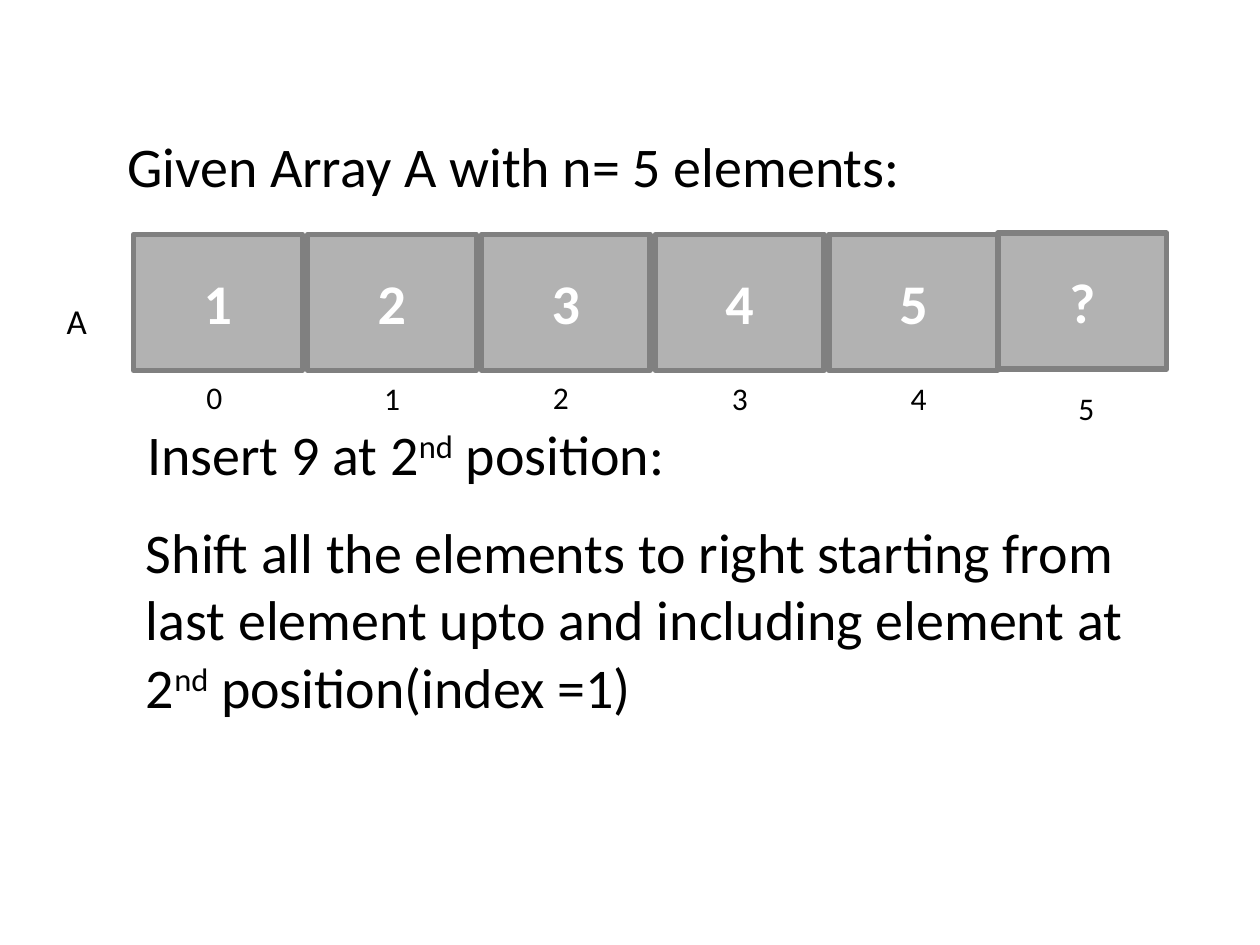
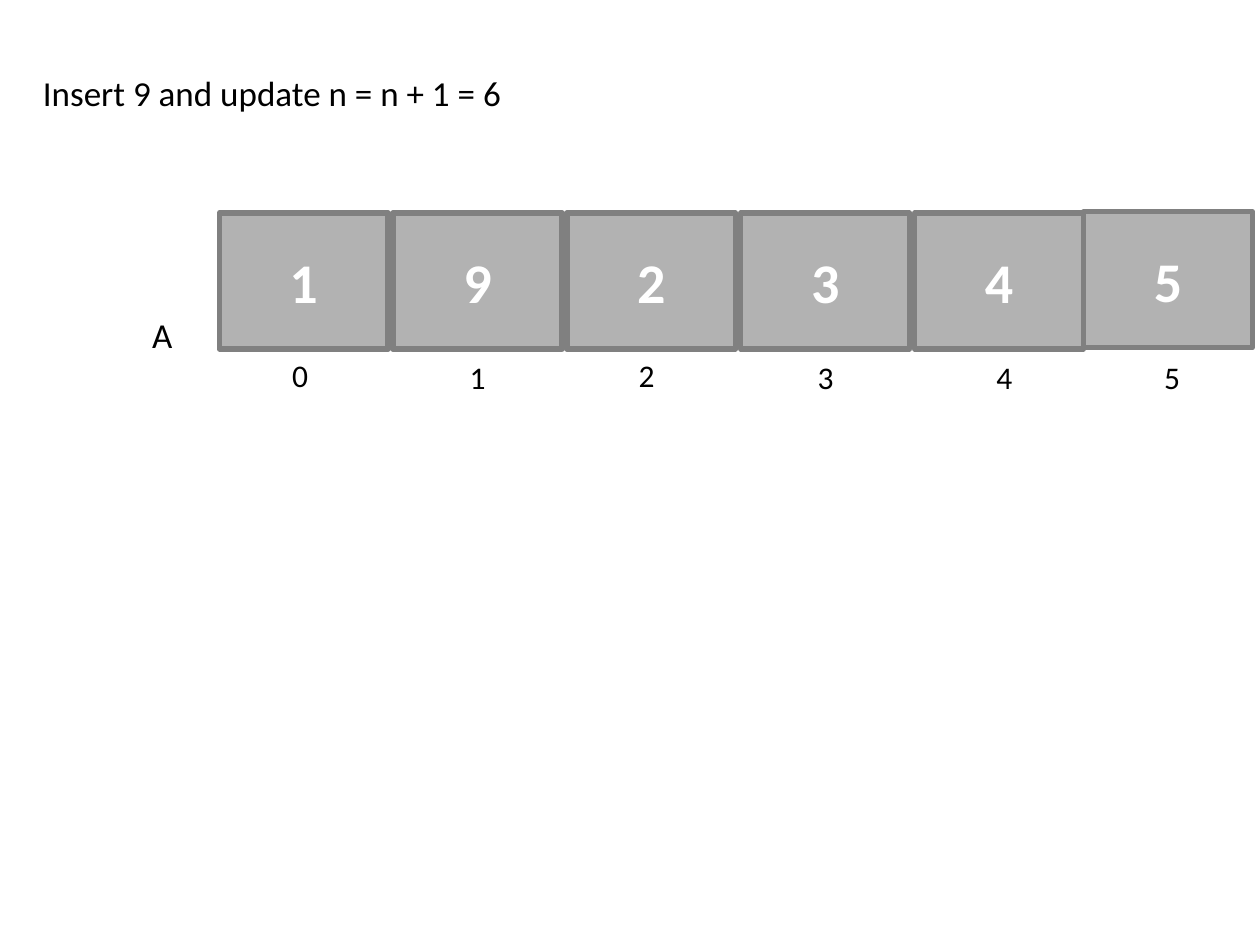
from dataclasses import dataclass

from pptx import Presentation
from pptx import util as u
from pptx.dml.color import RGBColor
from pptx.enum import shapes, text

PX = u.Inches(1) // 100  # one px is a hundredth of an inch


@dataclass(frozen=True)
class Theme:
    font: str = "Calibri"
    ink: str = "000000"
    light: str = "FFFFFF"
    cell: str = "B2B2B2"
    edge: str = "808080"
    line: int = 3
    big: int = 32
    mid: int = 20
    small: int = 18


T = Theme()

# Text between carets is raised. Boxes are left, top, width, height.
SLIDES = [
    {
        "title": ("Given Array A with n= 5 elements:", (91, 99, 717, 64), T.big),
        "array": (106, 186),
        "cells": "12345?",
        "name": (43, 233),
        "drop": 118,
        "notes": [
            ("Insert 9 at 2^nd^ position:", (107, 328, 449, 64)),
            ("Shift all the elements to right starting from last element upto "
             "and including element at 2^nd^ position(index =1)",
             (106, 406, 819, 172)),
        ],
    },
    {
        "title": ("Insert 9 and update n = n + 1 = 6", (24, 52, 520, 44), T.mid),
        "array": (174, 169),
        "cells": "192345",
        "name": (111, 244),
        "drop": 110,
        "notes": [],
    },
]

CELL_W, CELL_H, STEP = 134, 108, 138
INDEX_X = (48, 189, 323, 465, 607, 740)  # index labels, from the array's left
INDEX_Y = (109, 110, 109, 110, 110)  # the last label takes the slide's drop
LABEL_W = 47


def emu(box):
    return [n * PX for n in box]


def style(run, size, color=T.ink, bold=False):
    font = run.font
    font.name, font.size, font.bold = T.font, u.Pt(size), bold
    font.color.rgb = RGBColor.from_string(color)


def write(frame, words, size):
    """Fill a left-aligned frame, raising the parts between carets."""
    frame.word_wrap = True
    frame.vertical_anchor = text.MSO_ANCHOR.TOP
    para = frame.paragraphs[0]
    para.alignment = text.PP_ALIGN.LEFT
    for i, part in enumerate(words.split("^")):
        run = para.add_run()
        run.text = part
        style(run, size)
        if i % 2:
            run.font._element.set("baseline", "30000")


def label(slide, words, box, size):
    frame = slide.shapes.add_textbox(*emu(box)).text_frame
    write(frame, words, size)
    frame.auto_size = text.MSO_AUTO_SIZE.SHAPE_TO_FIT_TEXT


def head(slide, words, box, size):
    title = slide.shapes.title
    title.left, title.top, title.width, title.height = emu(box)
    write(title.text_frame, words, size)
    title.text_frame.auto_size = text.MSO_AUTO_SIZE.NONE


def array(slide, left, top, cells):
    """Draw the cells as one group; the last one abuts its neighbour."""
    group = slide.shapes.add_group_shape()
    last = len(cells) - 1
    for i, value in enumerate(cells):
        x, y = left + i * STEP, top
        if i == last:
            x, y = x - STEP + CELL_W, top - 1
        cell = group.shapes.add_shape(
            shapes.MSO_SHAPE.RECTANGLE, *emu((x, y, CELL_W, CELL_H)))
        cell.shadow.inherit = False
        cell.fill.solid()
        cell.fill.fore_color.rgb = RGBColor.from_string(T.cell)
        cell.line.color.rgb = RGBColor.from_string(T.edge)
        cell.line.width = u.Pt(T.line)
        frame = cell.text_frame
        frame.text = value
        frame.word_wrap = False
        frame.vertical_anchor = text.MSO_ANCHOR.MIDDLE
        para = frame.paragraphs[0]
        para.alignment = text.PP_ALIGN.CENTER
        style(para.runs[0], T.big, T.light, True)


def build(deck, page):
    slide = deck.slides.add_slide(deck.slide_layouts.get_by_name("Title Only"))
    head(slide, *page["title"])
    left, top = page["array"]
    array(slide, left, top, page["cells"])
    for words, box in page["notes"]:
        label(slide, words, box, T.big)
    for i, (x, y) in enumerate(zip(INDEX_X, (*INDEX_Y, page["drop"]))):
        label(slide, str(i), (left + x, top + y, LABEL_W, 40), T.small)
    label(slide, "A", (*page["name"], LABEL_W, 44), T.mid)


def main():
    deck = Presentation()
    deck.slide_width, deck.slide_height = emu((1000, 750))
    for page in SLIDES:
        build(deck, page)
    deck.save("out.pptx")


if __name__ == "__main__":
    main()
